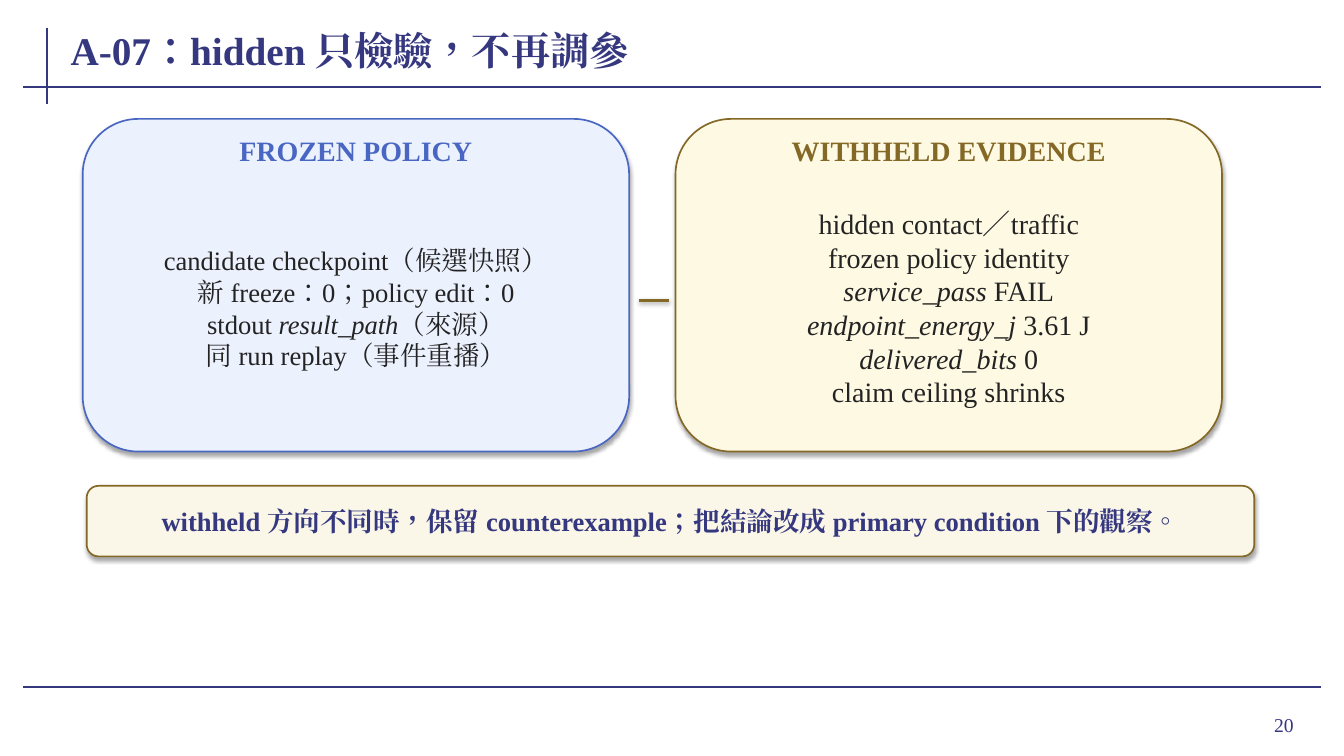
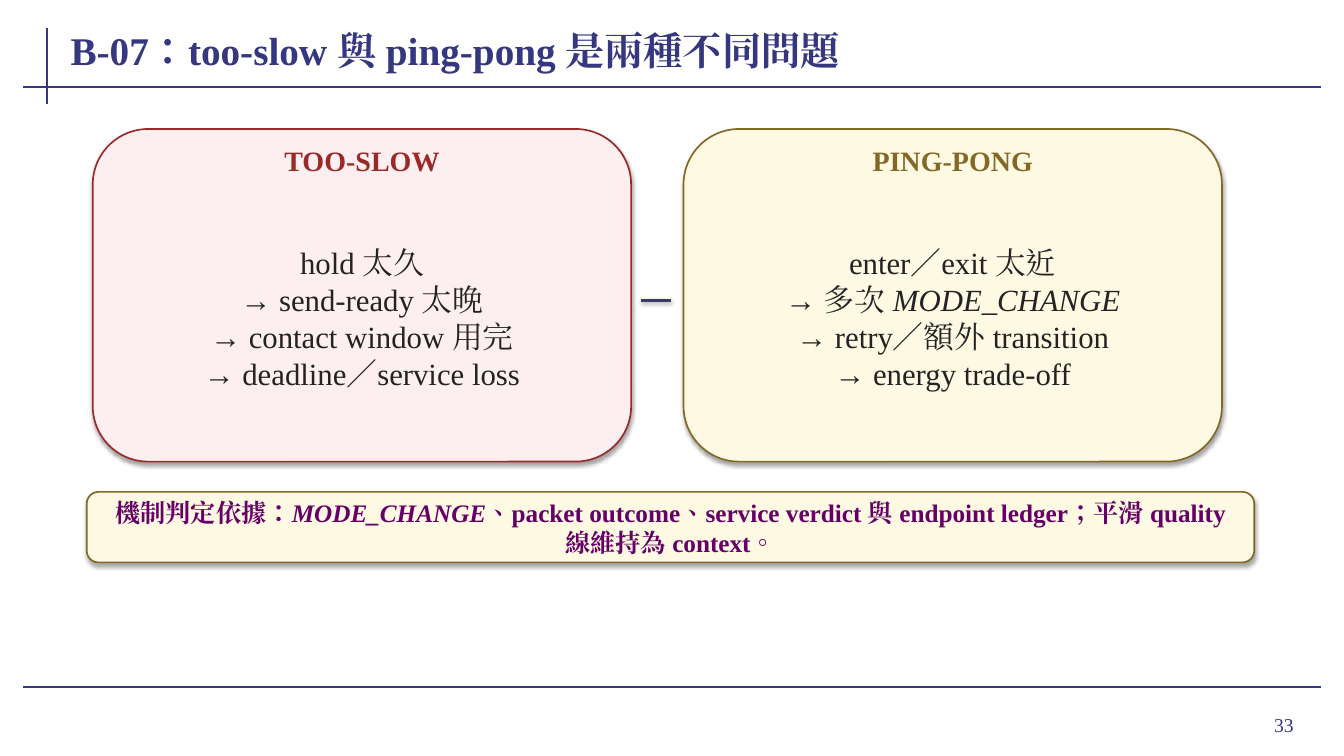
from pptx import Presentation
from pptx.dml.color import RGBColor
from pptx.enum.shapes import MSO_CONNECTOR, MSO_SHAPE
from pptx.enum.text import MSO_ANCHOR, MSO_AUTO_SIZE, PP_ALIGN
from pptx.oxml import parse_xml
from pptx.oxml.ns import nsdecls, qn
from pptx.util import Inches, Pt
from lxml import etree

FONT = "Times New Roman"
COLORS = {
    "navy": "35377F",
    "ink": "232323",
    "blue": "4967C2",
    "pale blue": "ECF1FE",
    "gold": "846826",
    "pale gold": "FDF9E2",
    "cream": "FAF7E8",
    "red": "992A2A",
    "pale red": "FDEFEF",
    "purple": "660066",
}
CARD_HEIGHT = 3.3
CARDS_RIGHT = 12.12


def rgb(name):
    return RGBColor.from_string(COLORS[name])


def set_shadow(shape, opacity=0, distance=0):
    """Give the shape a soft shadow straight below it, or none at zero opacity."""
    effects = parse_xml(f"<a:effectLst {nsdecls('a')}/>")
    if opacity:
        outer = etree.SubElement(
            effects, qn("a:outerShdw"), blurRad=str(Pt(3.1)), dist=str(Pt(distance)),
            dir=str(90 * 60000), algn="ctr", rotWithShape="0")
        color = etree.SubElement(outer, qn("a:srgbClr"), val="000000")
        etree.SubElement(color, qn("a:alpha"), val=str(opacity * 1000))
    shape._element.spPr.append(effects)


def write_paragraph(paragraph, text, size=20, color="ink", bold=False, align=PP_ALIGN.CENTER):
    """Write one line of text, with the parts between asterisks in italics."""
    paragraph.alignment = align
    for index, part in enumerate(text.split("*")):
        if not part:
            continue
        run = paragraph.add_run()
        run.text = part
        font = run.font
        font.name, font.size = FONT, Pt(size)
        font.bold, font.italic = bold, index % 2 == 1
        font.color.rgb = rgb(color)
        properties = run._r.get_or_add_rPr()
        properties.set("lang", "zh-TW")
        properties.find(qn("a:latin")).addnext(
            parse_xml(f'<a:ea {nsdecls("a")} typeface="{FONT}"/>'))


class Deck:
    def __init__(self):
        self.presentation = Presentation()
        self.presentation.slide_width = Inches(13.33)
        self.presentation.slide_height = Inches(7.5)
        self.slide = None

    def add_slide(self, title, number):
        self.slide = self.presentation.slides.add_slide(self.presentation.slide_layouts[6])
        self.add_line(0.47, 0.28, 0.47, 1.03)
        for rule_top in (0.86, 6.82):
            self.add_line(0.23, rule_top, 13.1, rule_top)
        self.add_text([str(number)], 11.96, 6.93, 0.97, 0.52, margins=(0.1, 0.05),
                      size=14, color="navy", align=PP_ALIGN.RIGHT)
        self.add_text([title], 0.68, 0.18, 11.95, 0.62, margins=(0.02, 0),
                      size=28, color="navy", bold=True, align=PP_ALIGN.LEFT)

    def add_line(self, x1, y1, x2, y2, color="navy", width=1.5, shadow=0):
        line = self.slide.shapes.add_connector(
            MSO_CONNECTOR.STRAIGHT, Inches(x1), Inches(y1), Inches(x2), Inches(y2))
        line.line.color.rgb = rgb(color)
        line.line.width = Pt(width)
        set_shadow(line, shadow, distance=1.6)

    def add_text(self, lines, left, top, width, height, margins, grow=False, **style):
        box = self.slide.shapes.add_textbox(
            Inches(left), Inches(top), Inches(width), Inches(height))
        frame = box.text_frame
        frame.word_wrap = True
        frame.auto_size = MSO_AUTO_SIZE.SHAPE_TO_FIT_TEXT if grow else MSO_AUTO_SIZE.NONE
        frame.vertical_anchor = MSO_ANCHOR.MIDDLE
        frame.margin_left = frame.margin_right = Inches(margins[0])
        frame.margin_top = frame.margin_bottom = Inches(margins[1])
        for index, line in enumerate(lines):
            paragraph = frame.add_paragraph() if index else frame.paragraphs[0]
            write_paragraph(paragraph, line, **style)

    def add_panel(self, left, top, width, height, fill, outline):
        panel = self.slide.shapes.add_shape(
            MSO_SHAPE.ROUNDED_RECTANGLE,
            Inches(left), Inches(top), Inches(width), Inches(height))
        panel.fill.solid()
        panel.fill.fore_color.rgb = rgb(fill)
        panel.line.color.rgb = rgb(outline)
        panel.line.width = Pt(1.2)
        set_shadow(panel, 35, distance=1.8)

    def add_card(self, left, top, width, heading, lines, size, fill, accent):
        self.add_panel(left, top, width, CARD_HEIGHT, fill, accent)
        self.add_text([heading], left + 0.18, top + 0.16, width - 0.36, 0.3,
                      margins=(0.01, 0), grow=True, size=20, color=accent, bold=True)
        self.add_text(lines, left + 0.2, top + 0.58, width - 0.4, 2.58,
                      margins=(0.08, 0.04), grow=True, size=size)

    def add_card_pair(self, left, top, width, cards, link_color):
        """Set two cards side by side, joined by a short line."""
        for card_left, card in zip((left, CARDS_RIGHT - width), cards):
            self.add_card(card_left, top, width, **card)
        link_left = left + width + 0.1
        self.add_line(link_left, 2.98, link_left + 0.3, 2.98, link_color, 1.8, shadow=38)

    def add_banner(self, text, top, fill, size, color):
        self.add_panel(0.86, top, 11.58, 0.7, fill, "gold")
        self.add_text([text], 1.04, top + 0.07, 11.22, 0.56, margins=(0.02, 0),
                      grow=True, size=size, color=color, bold=True)


def main():
    deck = Deck()

    deck.add_slide("A-07：hidden 只檢驗，不再調參", 20)
    frozen_policy = dict(
        heading="FROZEN POLICY", size=19, fill="pale blue", accent="blue",
        lines=["candidate checkpoint（候選快照）", "新 freeze：0；policy edit：0",
               "stdout *result_path*（來源）", "同 run replay（事件重播）"])
    withheld_evidence = dict(
        heading="WITHHELD EVIDENCE", size=20, fill="pale gold", accent="gold",
        lines=["hidden contact／traffic", "frozen policy identity", "*service_pass* FAIL",
               "*endpoint_energy_j* 3.61 J", "*delivered_bits* 0", "claim ceiling shrinks"])
    deck.add_card_pair(0.82, 1.18, 5.42, [frozen_policy, withheld_evidence], "gold")
    deck.add_banner(
        "withheld 方向不同時，保留 counterexample；把結論改成 primary condition 下的觀察。",
        top=4.82, fill="cream", size=19, color="navy")

    deck.add_slide("B-07：too-slow 與 ping-pong 是兩種不同問題", 33)
    too_slow = dict(
        heading="TOO-SLOW", size=22, fill="pale red", accent="red",
        lines=["hold 太久", "→ send-ready 太晚", "→ contact window 用完",
               "→ deadline／service loss"])
    ping_pong = dict(
        heading="PING-PONG", size=22, fill="pale gold", accent="gold",
        lines=["enter／exit 太近", "→ 多次 *MODE_CHANGE*", "→ retry／額外 transition",
               "→ energy trade-off"])
    deck.add_card_pair(0.92, 1.28, 5.34, [too_slow, ping_pong], "navy")
    deck.add_banner(
        "機制判定依據：*MODE_CHANGE*、packet outcome、service verdict 與 endpoint ledger；"
        "平滑 quality 線維持為 context。",
        top=4.88, fill="pale gold", size=18, color="purple")

    deck.presentation.save("out.pptx")


if __name__ == "__main__":
    main()
